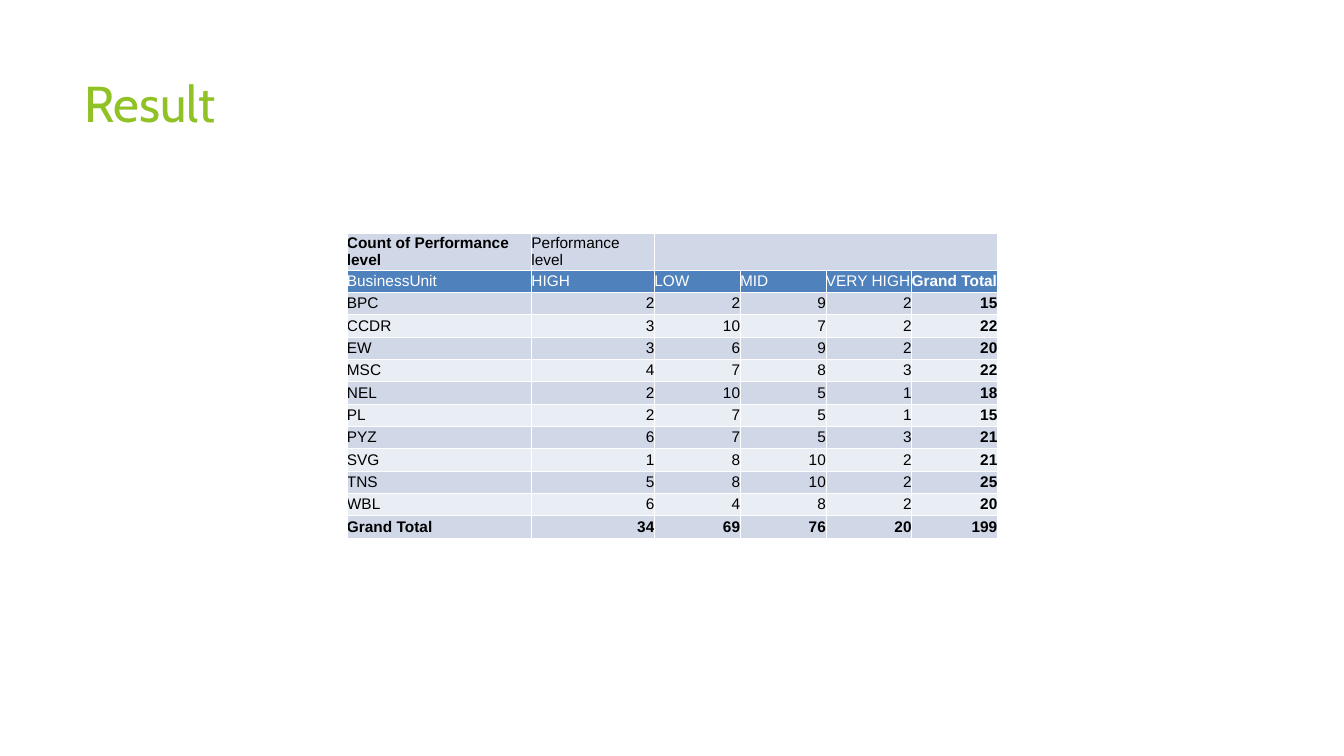
from lxml import etree
from pptx import Presentation
from pptx import util as u
from pptx.dml.color import RGBColor
from pptx.enum import text
from pptx.oxml.ns import qn

HEADER = ["BusinessUnit", "HIGH", "LOW", "MID", "VERY HIGH", "Grand Total"]
UNITS = {
    "BPC": (2, 2, 9, 2),
    "CCDR": (3, 10, 7, 2),
    "EW": (3, 6, 9, 2),
    "MSC": (4, 7, 8, 3),
    "NEL": (2, 10, 5, 1),
    "PL": (2, 7, 5, 1),
    "PYZ": (6, 7, 5, 3),
    "SVG": (1, 8, 10, 2),
    "TNS": (5, 8, 10, 2),
    "WBL": (6, 4, 8, 2),
}


def color(hex_code):
    return RGBColor.from_string(hex_code)


def write(tf, value, size=11, font="Arial", ink="000000", bold=False, align="LEFT"):
    p = tf.paragraphs[0]
    p.alignment = getattr(text.PP_ALIGN, align)
    r = p.add_run()
    r.text = str(value)
    r.font.size = u.Pt(size)
    r.font.name = font
    r.font.bold = bold
    r.font.color.rgb = color(ink)


class Deck:
    """Slide builder whose lengths are percentages of the slide's size."""

    light, pale, blue = "D0D8E8", "E9EDF4", "4F81BD"
    white, black, green = "FFFFFF", "000000", "90C226"

    def __init__(self):
        self.prs = Presentation()
        self.prs.slide_width = u.Inches(13.33)
        self.prs.slide_height = u.Inches(7.5)
        self.s = self.prs.slides.add_slide(self.prs.slide_layouts[6])

    def x(self, share):
        return round(self.prs.slide_width * share / 100)

    def y(self, share):
        return round(self.prs.slide_height * share / 100)

    def title(self, value, left, top, width, height):
        sp = self.s.shapes.add_textbox(self.x(left), self.y(top), self.x(width), self.y(height))
        sp.text_frame.word_wrap = True
        write(sp.text_frame, value, size=36, font="Cabin", ink=self.green)

    def border(self, cell):
        tc_pr = cell._tc.get_or_add_tcPr()
        for i, side in enumerate(("lnL", "lnR", "lnT", "lnB")):
            ln = etree.Element(qn("a:" + side), w=str(u.Pt(0.5)))
            solid = etree.SubElement(ln, qn("a:solidFill"))
            etree.SubElement(solid, qn("a:srgbClr"), val=self.white)
            tc_pr.insert(i, ln)

    def cell(self, cell, value, fill, **style):
        cell.margin_left = cell.margin_right = cell.margin_top = cell.margin_bottom = 0
        cell.vertical_anchor = text.MSO_ANCHOR.MIDDLE
        cell.fill.solid()
        cell.fill.fore_color.rgb = color(fill)
        self.border(cell)
        if value != "":
            write(cell.text_frame, value, **style)

    def table(self, rows, left, top, col_widths, row_height):
        frame = self.s.shapes.add_table(
            len(rows), len(col_widths), self.x(left), self.y(top),
            self.x(sum(col_widths)), self.y(row_height * len(rows)))
        table = frame.table
        for column, width in zip(table.columns, col_widths):
            column.width = self.x(width)
        last_row, last_col = len(rows) - 1, len(col_widths) - 1
        for i, values in enumerate(rows):
            table.rows[i].height = self.y(row_height)
            fill = self.blue if i == 1 else (self.pale if i % 2 else self.light)
            for j, value in enumerate(values):
                self.cell(
                    table.cell(i, j), value, fill,
                    ink=self.white if i == 1 else self.black,
                    bold=i == last_row or j == last_col or i == j == 0,
                    align="RIGHT" if isinstance(value, int) else "LEFT")
        return table


def main():
    deck = Deck()
    deck.title("Result", 5.55, 8.93, 70.5, 19.2)
    totals = [sum(counts) for counts in zip(*UNITS.values())]
    rows = [["Count of Performance level", "Performance level", "", "", "", ""], HEADER]
    rows += [[unit, *counts, sum(counts)] for unit, counts in UNITS.items()]
    rows.append(["Grand Total", *totals, sum(totals)])
    table = deck.table(rows, 25.81, 30.8, [13.73, 9.15] + [6.38] * 4, 2.96)
    table.cell(0, 2).merge(table.cell(0, 5))
    deck.prs.save("out.pptx")


if __name__ == "__main__":
    main()
